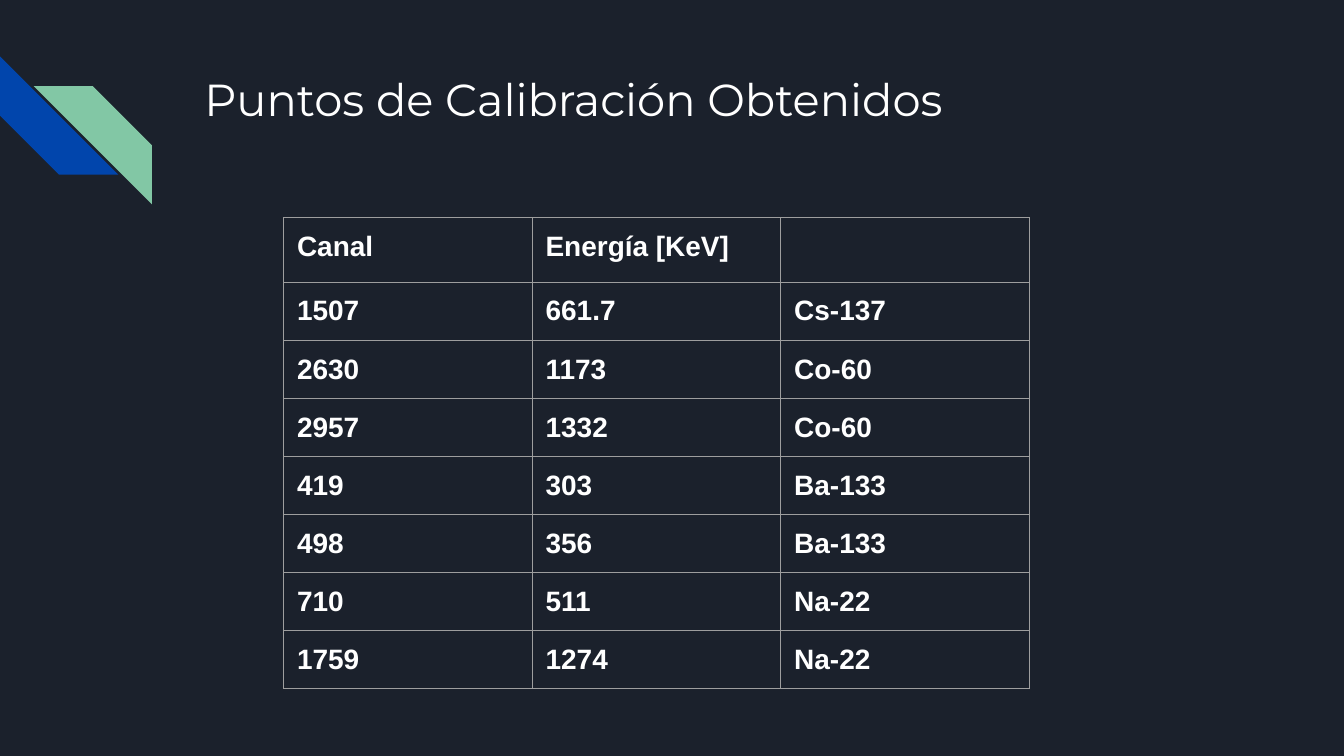
import pptx
import pptx.dml.color
import pptx.enum.shapes
import pptx.enum.text
import pptx.oxml
import pptx.oxml.ns
import pptx.util
from pptx.util import Inches

RGBColor = pptx.dml.color.RGBColor
DARK = RGBColor(0x1B, 0x21, 0x2C)
BLUE = RGBColor(0x01, 0x45, 0xAC)
GREEN = RGBColor(0x82, 0xC7, 0xA5)
WHITE = RGBColor(0xFF, 0xFF, 0xFF)
GREY = RGBColor(0x9E, 0x9E, 0x9E)

HEADER_H, ROW_H = 0.48, 0.43
ROWS = [
    ("Canal", "Energía [KeV]", ""),
    ("1507", "661.7", "Cs-137"),
    ("2630", "1173", "Co-60"),
    ("2957", "1332", "Co-60"),
    ("419", "303", "Ba-133"),
    ("498", "356", "Ba-133"),
    ("710", "511", "Na-22"),
    ("1759", "1274", "Na-22"),
]


def write(tf, text, *, size, font, bold=False, color=WHITE):
    p = tf.paragraphs[0]
    if not text:
        # An empty paragraph takes its line height from its end mark.
        p._p.get_or_add_endParaRPr().set("sz", str(size * 100))
        return
    p.alignment = pptx.enum.text.PP_ALIGN.LEFT
    r = p.add_run()
    r.text = text
    r.font.size = pptx.util.Pt(size)
    r.font.name = font
    r.font.bold = bold
    r.font.color.rgb = color


def set_margins(box, margin=0.1):
    box.margin_left = box.margin_right = Inches(margin)
    box.margin_top = box.margin_bottom = Inches(margin)


def add_title(s, text, x, y, w, h):
    sp = s.shapes.title
    sp.left, sp.top, sp.width, sp.height = map(Inches, (x, y, w, h))
    tf = sp.text_frame
    tf.word_wrap = True
    tf.vertical_anchor = pptx.enum.text.MSO_ANCHOR.TOP
    set_margins(tf)
    write(tf, text, size=24, font="Montserrat")


def add_stripes(s, x, y, size):
    """Two facing diagonal stripes, the second shifted right and down."""
    for dx, dy, rotation, color in ((0, 0, 270, BLUE), (0.25, 0.22, 90, GREEN)):
        sp = s.shapes.add_shape(
            pptx.enum.shapes.MSO_SHAPE.DIAGONAL_STRIPE,
            Inches(x + dx), Inches(y + dy), Inches(size), Inches(size))
        sp.rotation = rotation
        sp.shadow.inherit = False
        sp.fill.solid()
        sp.fill.fore_color.rgb = color
        sp.line.fill.background()


def set_borders(cell, color, width):
    tc_pr = cell._tc.get_or_add_tcPr()
    for i, side in enumerate(("lnL", "lnR", "lnT", "lnB")):
        ln = pptx.oxml.parse_xml(
            f'<a:{side} {pptx.oxml.ns.nsdecls("a")} w="{pptx.util.Pt(width)}">'
            f'<a:solidFill><a:srgbClr val="{color}"/></a:solidFill></a:{side}>')
        tc_pr.insert(i, ln)


def add_calibration_table(s, rows, x, y, w):
    h = HEADER_H + ROW_H * (len(rows) - 1)
    n_cols = len(rows[0])
    table = s.shapes.add_table(
        len(rows), n_cols, Inches(x), Inches(y), Inches(w), Inches(h)).table
    table.first_row = table.horz_banding = False
    for col in table.columns:
        col.width = Inches(w / n_cols)
    for i, values in enumerate(rows):
        table.rows[i].height = Inches(ROW_H if i else HEADER_H)
        for cell, value in zip(table.rows[i].cells, values):
            set_margins(cell)
            cell.fill.solid()
            cell.fill.fore_color.rgb = DARK
            set_borders(cell, GREY, 0.75)
            write(cell.text_frame, value, size=15, font="Arial", bold=True)


def main():
    prs = pptx.Presentation()
    prs.slide_width = Inches(10)
    prs.slide_height = prs.slide_width * 9 // 16
    s = prs.slides.add_slide(prs.slide_layouts[5])
    s.background.fill.solid()
    s.background.fill.fore_color.rgb = DARK
    add_stripes(s, 0, 0.42, 0.88)
    add_title(s, "Puntos de Calibración Obtenidos", 1.42, 0.43, 7.7, 1)
    add_calibration_table(s, ROWS, 2.11, 1.62, 5.55)
    prs.save("out.pptx")


if __name__ == "__main__":
    main()
